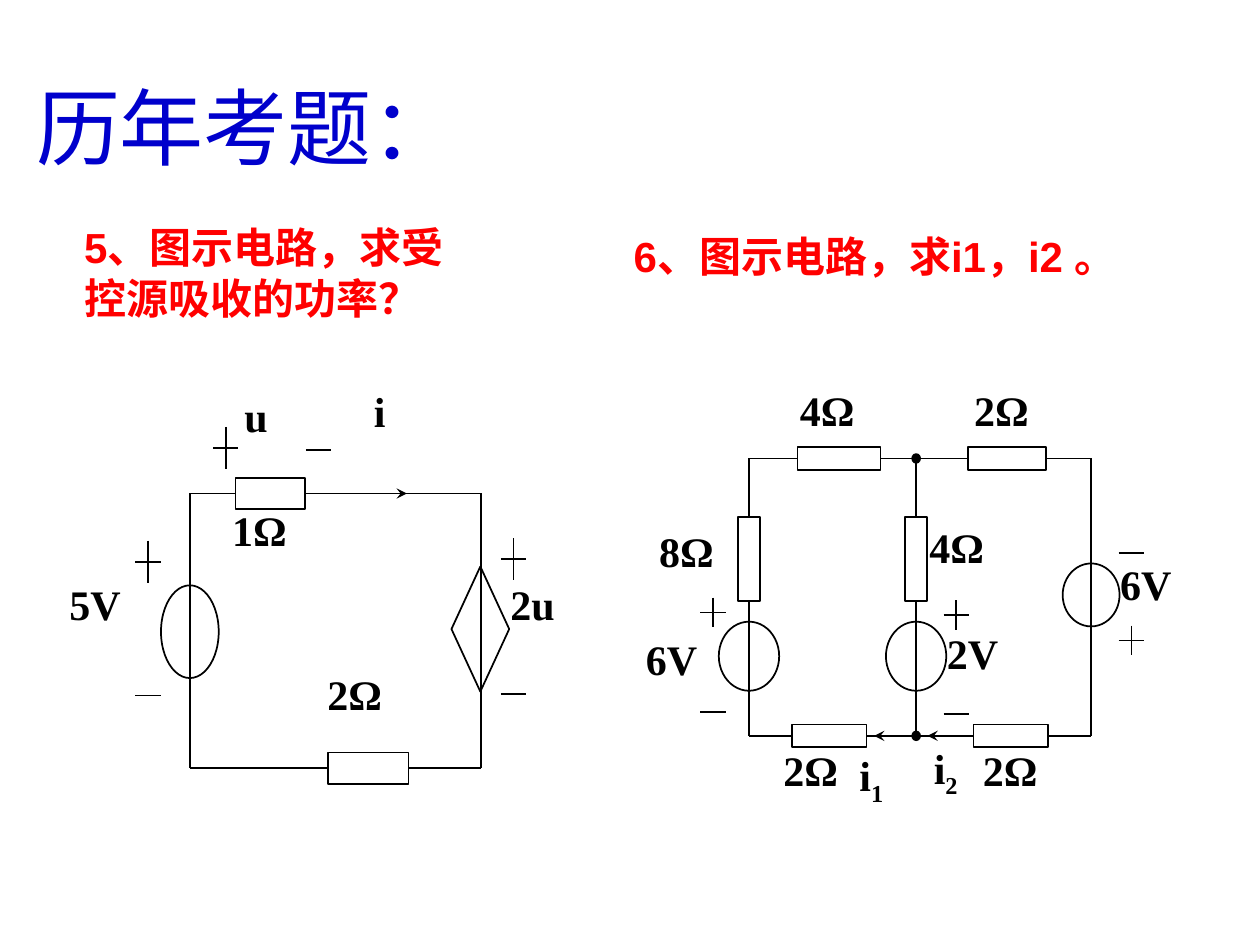
from lxml import etree
from pptx import Presentation
from pptx.dml.color import RGBColor
from pptx.enum.shapes import MSO_CONNECTOR, MSO_SHAPE
from pptx.enum.text import MSO_ANCHOR, MSO_AUTO_SIZE
from pptx.oxml.ns import qn
from pptx.util import Pt

STRAIGHT = MSO_CONNECTOR.STRAIGHT
RECT, OVAL, DIAMOND = MSO_SHAPE.RECTANGLE, MSO_SHAPE.OVAL, MSO_SHAPE.DIAMOND
NODE = MSO_SHAPE.FLOWCHART_CONNECTOR
TOP, MIDDLE = MSO_ANCHOR.TOP, MSO_ANCHOR.MIDDLE
GROW = MSO_AUTO_SIZE.SHAPE_TO_FIT_TEXT
NO_GROW = MSO_AUTO_SIZE.NONE
UP, LEFT, DOWN, RIGHT = range(4)
BLACK, RED, BLUE = "000000", "FF0000", "0000CC"
SERIF, SANS = "Times New Roman", "Arial"


def color(value):
    return RGBColor.from_string(value)


def add_text(s, text, x, y, w=70, h=43, size=24, font=SERIF, fill=BLACK, bold=True,
             anchor=TOP, wrap=True, fit=NO_GROW, sub=""):
    sp = s.shapes.add_textbox(Pt(x), Pt(y), Pt(w), Pt(h))
    tf = sp.text_frame
    tf.word_wrap, tf.auto_size, tf.vertical_anchor = wrap, fit, anchor
    p = tf.paragraphs[0]
    for part in filter(None, (text, sub)):
        r = p.add_run()
        r.text = part
        r.font.size, r.font.name, r.font.bold = Pt(size), font, bold
        r.font.color.rgb = color(fill)
    if sub:
        r.font._element.set("baseline", "-25000")


def add_part(s, kind, cx, cy, w, h, fill=None):
    sp = s.shapes.add_shape(kind, Pt(cx - w / 2), Pt(cy - h / 2), Pt(w), Pt(h))
    sp.shadow.inherit = False
    if fill:
        sp.fill.solid()
        sp.fill.fore_color.rgb = color(fill)
    else:
        sp.fill.background()
    sp.line.color.rgb = color(BLACK)
    sp.line.width = Pt(1)
    return sp


def add_wire(s, x1, y1, x2, y2, begin=None, end=None, arrow=False):
    c = s.shapes.add_connector(STRAIGHT, Pt(x1), Pt(y1), Pt(x2), Pt(y2))
    c.line.color.rgb = color(BLACK)
    c.line.width = Pt(1)
    if begin:
        c.begin_connect(*begin)
    if end:
        c.end_connect(*end)
    if arrow:
        etree.SubElement(c.line._get_or_add_ln(), qn("a:tailEnd"), type="stealth")
    etree.SubElement(c._element.spPr, qn("a:effectLst"))


def add_row_branch(s, x1, x2, y, cx, w, h):
    resistor = add_part(s, RECT, cx, y, w, h)
    add_wire(s, x1, y, cx - w / 2, y, end=(resistor, LEFT))
    add_wire(s, cx + w / 2, y, x2, y, begin=(resistor, RIGHT))


def add_column_branch(s, x, y1, y2, cy, w, h):
    resistor = add_part(s, RECT, x, cy, w, h)
    add_wire(s, x, y1, x, cy - h / 2, end=(resistor, UP))
    add_wire(s, x, cy + h / 2, x, y2, begin=(resistor, DOWN))


def add_minus(s, cx, cy, w=14.5):
    add_wire(s, cx - w / 2, cy, cx + w / 2, cy)


def add_plus(s, cx, cy, h):
    add_minus(s, cx, cy)
    add_wire(s, cx, cy - h / 2, cx, cy + h / 2)


def draw_controlled_source_circuit(s):
    left, right, top, bottom = 108.5, 275, 282, 439
    add_row_branch(s, left, right, top, 154.5, 40, 18)
    add_row_branch(s, left, right, bottom, 210.5, 46, 18)
    for x in (left, right):
        add_wire(s, x, top, x, bottom)
    add_part(s, OVAL, left, 361, 33, 53)
    add_part(s, DIAMOND, 274.5, 359.5, 33, 71.5)
    add_wire(s, 210, top, 232.5, top, arrow=True)
    for cx, cy in ((84.5, 321), (293.5, 319.5), (129, 256)):
        add_plus(s, cx, cy, 24)
    for cx, cy in ((84.5, 397.5), (293.5, 396.5), (182, 257)):
        add_minus(s, cx, cy)
    for text, x, y in (("u", 132.5, 219.5), ("i", 206.5, 216.5), ("5V", 32.5, 327),
                       ("2u", 284.5, 327), ("1Ω", 125.5, 285), ("2Ω", 180, 378.5)):
        add_text(s, text, x, y)


def draw_two_mesh_circuit(s):
    left, middle, right, top, bottom = 428, 523.5, 623.5, 262, 420.5
    for x1, x2, y, cx, w in ((left, middle, top, 479.5, 47.5),
                             (middle, right, top, 575.5, 44.5),
                             (left, middle, bottom, 474, 42.5),
                             (middle, right, bottom, 577.5, 42.5)):
        add_row_branch(s, x1, x2, y, cx, w, 13)
    for x in (left, middle):
        add_column_branch(s, x, top, bottom, 319.5, 12.5, 48)
        add_part(s, OVAL, x, 375, 34.5, 39.5)
    add_wire(s, right, top, right, bottom)
    add_part(s, OVAL, right, 340, 32.5, 36)
    for y in (top, bottom):
        add_part(s, NODE, middle, y, 4.5, 5, fill=BLACK)
    for x1, x2 in ((534, 499.5), (553.5, 530)):
        add_wire(s, x1, bottom, x2, bottom, arrow=True)
    for cx, cy in ((546.5, 351.5), (407.5, 350), (646.5, 366)):
        add_plus(s, cx, cy, 17)
    for cx, cy in ((546.5, 408), (407.5, 407), (646.5, 316)):
        add_minus(s, cx, cy)
    for text, x, y in (("4Ω", 450, 216), ("2Ω", 549.5, 216), ("8Ω", 369.5, 296.5),
                       ("4Ω", 524, 294.5), ("6V", 362, 358.5), ("2V", 534, 355),
                       ("6V", 633, 315.5), ("2Ω", 440.5, 422), ("2Ω", 554.5, 422)):
        add_text(s, text, x, y)
    add_text(s, "i", 484, 425, sub="1")
    add_text(s, "i", 526.5, 420.5, sub="2")


def main():
    prs = Presentation()
    prs.slide_width, prs.slide_height = Pt(720), Pt(540)
    s = prs.slides.add_slide(prs.slide_layouts[6])
    add_text(s, "历年考题：", 13.5, 39.5, 647, 65, size=48, fill=BLUE, bold=False, fit=GROW)
    add_text(s, "5、图示电路，求受控源吸收的功率？", 41, 123, 243.5, 65, font=SANS,
             fill=RED, anchor=MIDDLE, fit=GROW)
    add_text(s, "6、图示电路，求i1，i2 。", 355, 128, 331, 36, font=SANS,
             fill=RED, anchor=MIDDLE, wrap=False, fit=GROW)
    draw_controlled_source_circuit(s)
    draw_two_mesh_circuit(s)
    prs.save("out.pptx")


if __name__ == "__main__":
    main()
